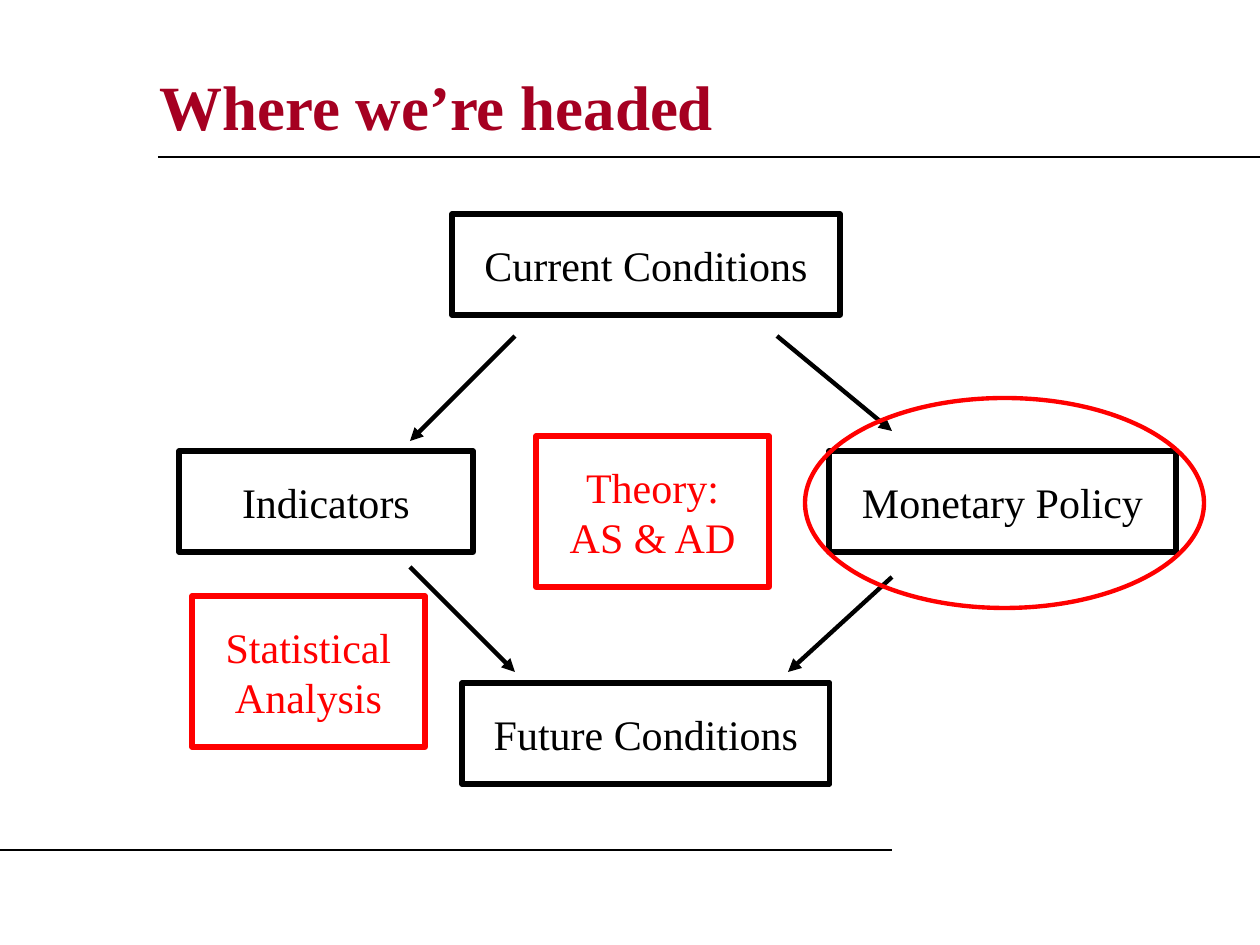
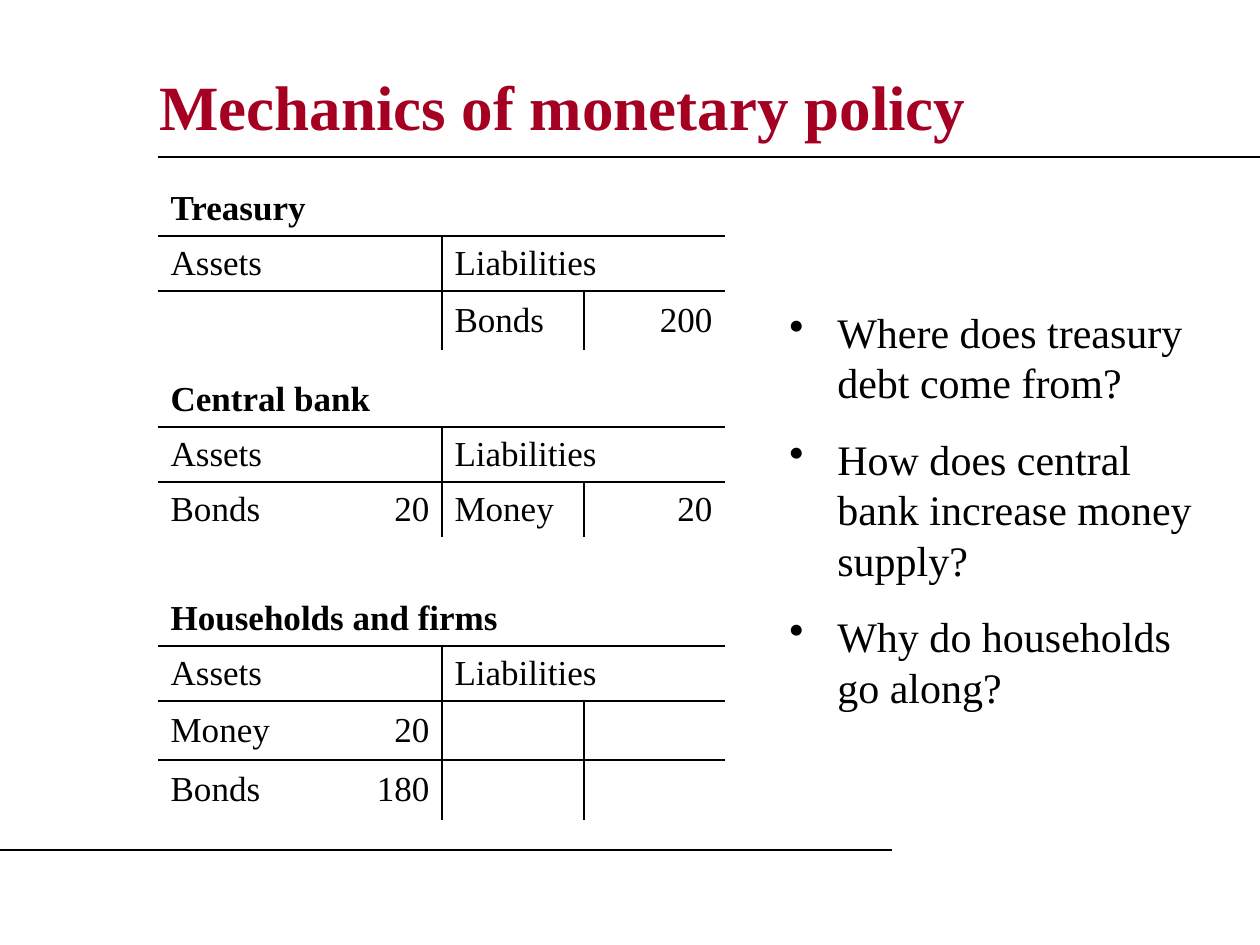
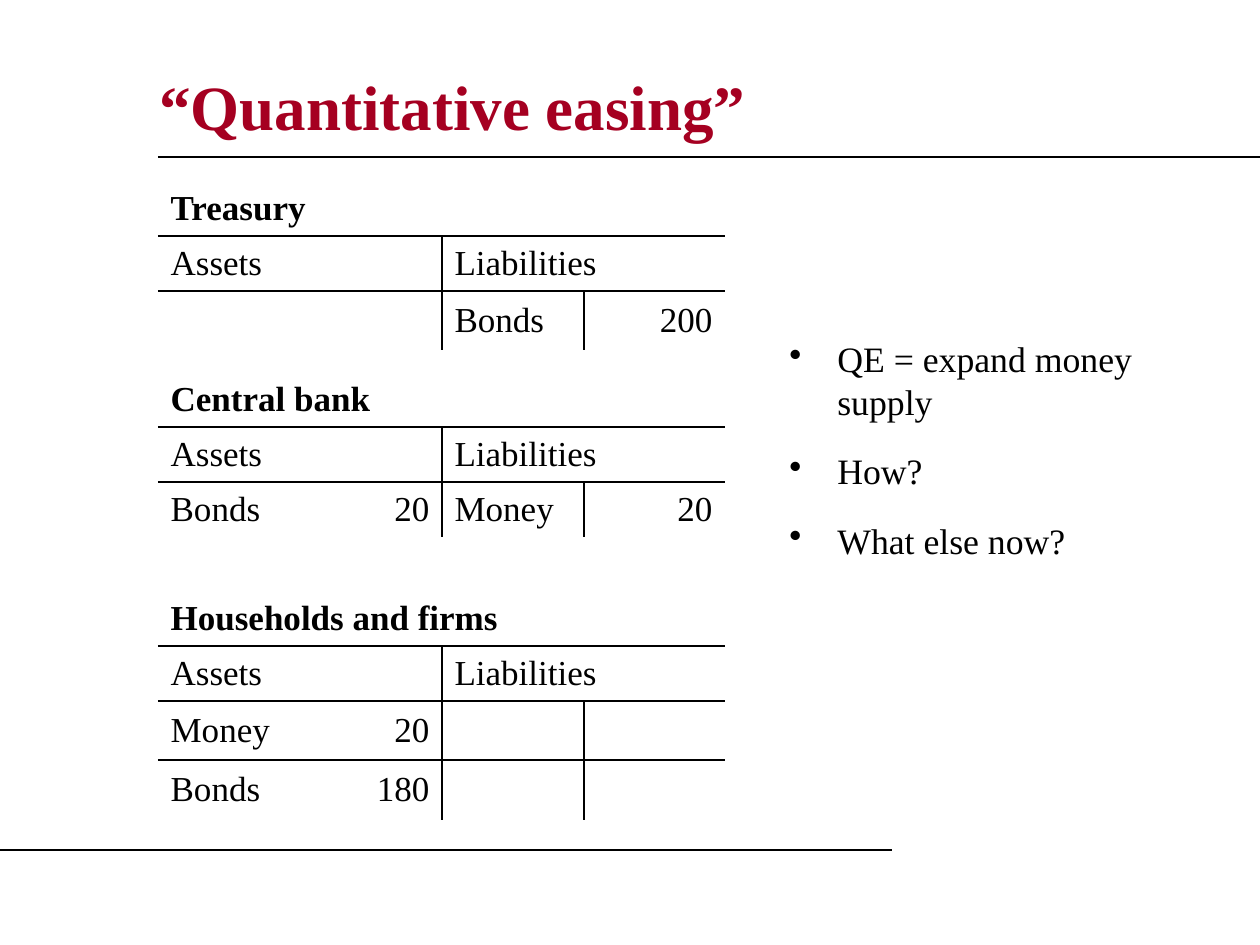
"""Build three slides on monetary policy: a flow diagram and two balance-sheet pages."""
from lxml import etree
from pptx import Presentation
from pptx.dml.color import RGBColor
from pptx.enum.shapes import MSO_CONNECTOR, MSO_SHAPE
from pptx.enum.text import MSO_ANCHOR, PP_ALIGN
from pptx.oxml.ns import qn
from pptx.util import Pt

STRAIGHT = MSO_CONNECTOR.STRAIGHT
RECTANGLE, OVAL = MSO_SHAPE.RECTANGLE, MSO_SHAPE.OVAL
TOP, MIDDLE = MSO_ANCHOR.TOP, MSO_ANCHOR.MIDDLE
LEFT, CENTER, RIGHT = PP_ALIGN.LEFT, PP_ALIGN.CENTER, PP_ALIGN.RIGHT

EMU_PER_PX = 914400 / 126
BLANK_LAYOUT = 6
FONT = "Times New Roman"
COLORS = {"title": "A50021", "ink": "000000", "highlight": "FF0000"}
BORDER_POINTS = 1.08
PLAIN_TABLE_STYLE = "{2D5ABB26-0587-4C30-8999-92F81FD0307C}"

TITLE_FORMAT = {"name": FONT, "size": Pt(36), "bold": True}
BOX_FORMAT = {"name": FONT, "size": Pt(24)}
CELL_FORMAT = {"name": FONT, "size": Pt(20), "bold": False}
HEADING_FORMAT = {**CELL_FORMAT, "bold": True}

TABLE_LEFT = 158
COLUMN_WIDTHS = (187, 97, 142, 141)
HEADER_HEIGHT = 55
BULLET_INDENT = 48

BOXES = [
    ("Indicators", (179, 451, 294, 101), "ink"),
    ("Monetary Policy", (829, 451, 347, 101), "ink"),
    ("Current Conditions", (452, 214, 388, 101), "ink"),
    ("Theory: AS & AD", (536, 436, 233, 151), "highlight"),
    ("Future Conditions", (462, 683, 368, 101), "ink"),
    ("Statistical Analysis", (192, 596, 233, 151), "highlight"),
]
ARROWS = [
    ((515, 336), (410, 441)),
    ((777, 336), (892, 431)),
    ((892, 577), (788, 672)),
    ((410, 567), (515, 672)),
]
POLICY_RING = (805, 398, 399, 210)

BALANCE_SHEETS = [
    ("Treasury", 181, [59], [("", "", "Bonds", "200")]),
    ("Central bank", 372, [55], [("Bonds", "20", "Money", "20")]),
    ("Households and firms", 591, [59, 60],
     [("Money", "20", "", ""), ("Bonds", "180", "", "")]),
]
MECHANICS_QUESTIONS = [
    "Where does treasury debt come from?",
    "How does central bank increase money supply?",
    "Why do households go along?",
]
EASING_POINTS = ["QE = expand money supply", "How?", "What else now?"]


def px(length):
    """Turn whole pixels into EMU."""
    return round(length * EMU_PER_PX)


def scaled(lengths):
    """Turn several pixel lengths into EMU."""
    return [px(length) for length in lengths]


def color(name):
    """Look up a named colour."""
    return RGBColor.from_string(COLORS[name])


def apply_format(target, values):
    """Set each attribute named in a dict of format values."""
    for attribute, value in values.items():
        setattr(target, attribute, value)


def write_paragraph(paragraph, text, font_format, color_name="ink", alignment=LEFT):
    """Fill one paragraph with styled text."""
    paragraph.text = text
    paragraph.alignment = alignment
    apply_format(paragraph.font, font_format)
    paragraph.font.color.rgb = color(color_name)


def add_line(slide, start, end, points, arrow=False):
    """Draw a straight line, with an arrowhead at its end if asked."""
    connector = slide.shapes.add_connector(STRAIGHT, *scaled(start), *scaled(end))
    connector.line.color.rgb = color("ink")
    connector.line.width = Pt(points)
    if arrow:
        etree.SubElement(connector.get_or_add_ln(), qn("a:tailEnd"), type="triangle")
    etree.SubElement(connector._element.spPr, qn("a:effectLst"))


def add_outline(slide, kind, bounds, color_name, points):
    """Draw an unfilled shape with a coloured outline."""
    shape = slide.shapes.add_shape(kind, *scaled(bounds))
    shape.shadow.inherit = False
    shape.fill.background()
    shape.line.color.rgb = color(color_name)
    shape.line.width = Pt(points)
    return shape


def add_box(slide, text, bounds, color_name):
    """Draw an outlined diagram box with centred text."""
    frame = add_outline(slide, RECTANGLE, bounds, color_name, 3).text_frame
    margins = ("margin_left", "margin_top", "margin_right", "margin_bottom")
    apply_format(frame, {"word_wrap": True, "vertical_anchor": MIDDLE,
                         **dict.fromkeys(margins, px(25))})
    write_paragraph(frame.paragraphs[0], text, BOX_FORMAT, color_name, CENTER)


def add_text_frame(slide, bounds, anchor):
    """Add a wrapping text box and return its frame."""
    frame = slide.shapes.add_textbox(*scaled(bounds)).text_frame
    apply_format(frame, {"word_wrap": True, "vertical_anchor": anchor})
    return frame


def add_bullets(slide, items, bounds, points):
    """Add a bulleted list."""
    frame = add_text_frame(slide, bounds, TOP)
    for index, item in enumerate(items):
        paragraph = frame.add_paragraph() if index else frame.paragraphs[0]
        properties = paragraph._p.get_or_add_pPr()
        properties.set("marL", str(px(BULLET_INDENT)))
        properties.set("indent", str(-px(BULLET_INDENT)))
        bullet_color = etree.SubElement(properties, qn("a:buClr"))
        etree.SubElement(bullet_color, qn("a:srgbClr"), val=COLORS["ink"])
        etree.SubElement(properties, qn("a:buChar"), char="•")
        write_paragraph(paragraph, item, {"name": FONT, "size": Pt(points)})
        if index:
            paragraph.space_before = Pt(15)


def set_borders(cell, sides):
    """Draw the given sides of a cell, listed in the order L, R, T, B."""
    properties = cell._tc.get_or_add_tcPr()
    for index, side in enumerate(sides):
        line = etree.Element(qn(f"a:ln{side}"), w=str(Pt(BORDER_POINTS)))
        fill = etree.SubElement(line, qn("a:solidFill"))
        etree.SubElement(fill, qn("a:srgbClr"), val=COLORS["ink"])
        properties.insert(index, line)


def t_account_sides(row, column):
    """Return the ruled sides of a cell in a T-account."""
    sides = ""
    if row > 0:
        sides += {1: "R", 2: "L"}.get(column, "")
    if row in (1, 2):
        sides += "T"
    if row in (0, 1):
        sides += "B"
    return sides


def add_balance_sheet(slide, name, top, entry_heights, entries):
    """Add a T-account with a heading, two side labels and its entries."""
    rows = [(name, "", "", ""), ("Assets", "", "Liabilities", ""), *entries]
    heights = [HEADER_HEIGHT, HEADER_HEIGHT, *entry_heights]
    bounds = scaled((TABLE_LEFT, top, sum(COLUMN_WIDTHS), sum(heights)))
    table = slide.shapes.add_table(len(rows), len(COLUMN_WIDTHS), *bounds).table
    apply_format(table, {"first_row": False, "horz_banding": False})
    table._tbl.tblPr.find(qn("a:tableStyleId")).text = PLAIN_TABLE_STYLE
    for column, width in zip(table.columns, COLUMN_WIDTHS):
        column.width = px(width)
    for row, height in zip(table.rows, heights):
        row.height = px(height)
    for first, last in (((0, 0), (0, 3)), ((1, 0), (1, 1)), ((1, 2), (1, 3))):
        table.cell(*first).merge(table.cell(*last))
    for row, texts in enumerate(rows):
        for column, text in enumerate(texts):
            cell = table.cell(row, column)
            cell.vertical_anchor = MIDDLE
            cell.fill.background()
            set_borders(cell, t_account_sides(row, column))
            write_paragraph(cell.text_frame.paragraphs[0], text,
                            CELL_FORMAT if row else HEADING_FORMAT,
                            alignment=RIGHT if column % 2 else LEFT)


def add_titled_slide(presentation, title):
    """Add a slide with the shared title and the two rules."""
    slide = presentation.slides.add_slide(presentation.slide_layouts[BLANK_LAYOUT])
    frame = add_text_frame(slide, (147, 53, 1018, 105), MIDDLE)
    write_paragraph(frame.paragraphs[0], title, TITLE_FORMAT, "title")
    add_line(slide, (158, 157), (1260, 157), 0.75)
    add_line(slide, (0, 850), (892, 850), 0.75)
    return slide


def add_diagram_slide(presentation):
    """Add the flow diagram from current to future conditions."""
    slide = add_titled_slide(presentation, "Where we’re headed")
    for start, end in ARROWS:
        add_line(slide, start, end, 2.5, arrow=True)
    for text, bounds, color_name in BOXES:
        add_box(slide, text, bounds, color_name)
    add_outline(slide, OVAL, POLICY_RING, "highlight", 2.5)


def add_accounts_slide(presentation, title, items, bounds, points):
    """Add the balance sheets with a bulleted list beside them."""
    slide = add_titled_slide(presentation, title)
    for sheet in BALANCE_SHEETS:
        add_balance_sheet(slide, *sheet)
    add_bullets(slide, items, bounds, points)


def main():
    """Build and save the presentation."""
    presentation = Presentation()
    apply_format(presentation, {"slide_width": px(1260), "slide_height": px(945)})
    add_diagram_slide(presentation)
    add_accounts_slide(presentation, "Mechanics of monetary policy",
                       MECHANICS_QUESTIONS, (777, 300, 431, 441), 24)
    add_accounts_slide(presentation, "“Quantitative easing”",
                       EASING_POINTS, (777, 331, 431, 231), 20.4)
    presentation.save("out.pptx")


if __name__ == "__main__":
    main()
